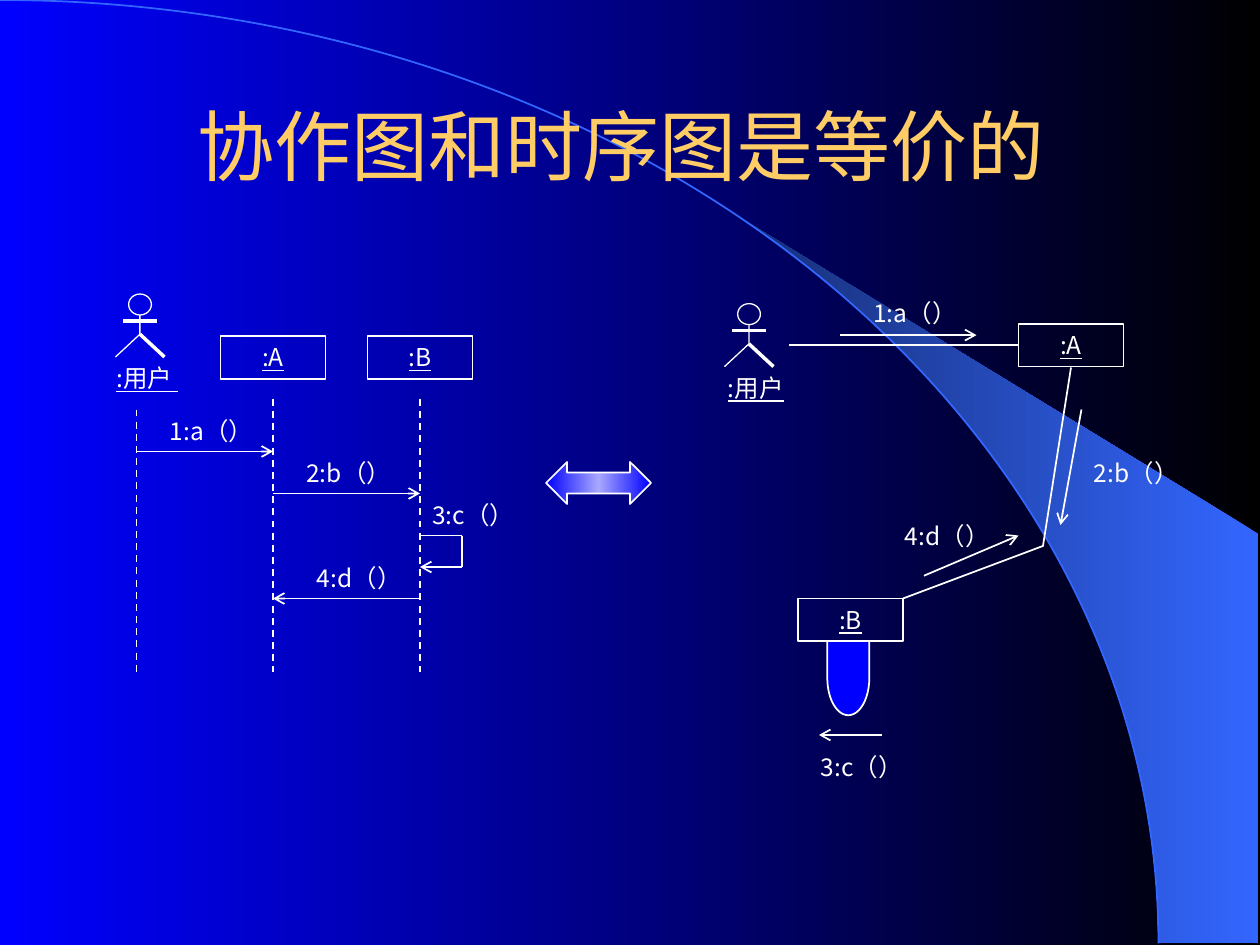
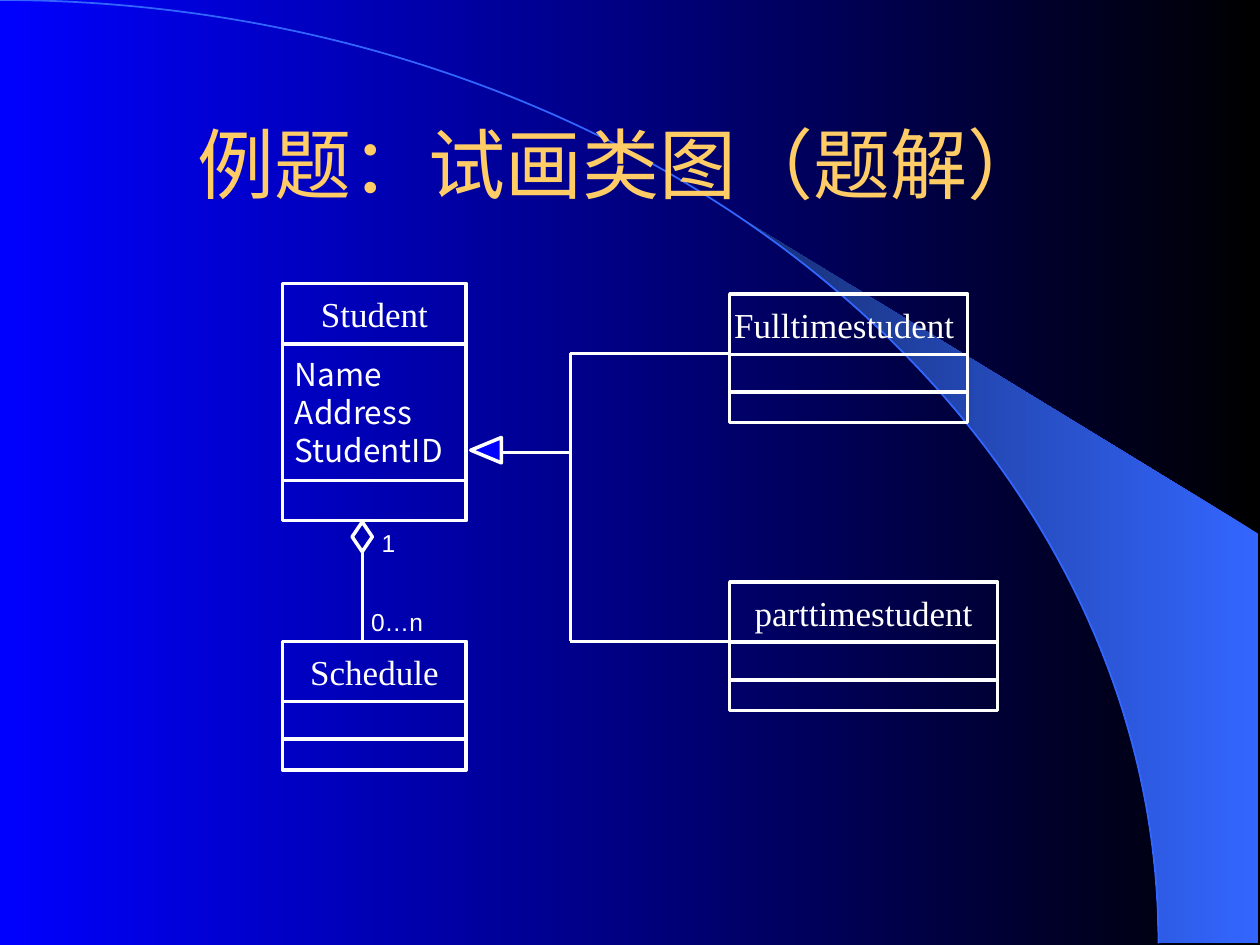
from copy import deepcopy
from dataclasses import dataclass
from math import acos, cos, sin

from lxml.etree import SubElement
from pptx import Presentation
from pptx.dml.color import RGBColor
from pptx.enum.dml import MSO_LINE
from pptx.enum.shapes import MSO_CONNECTOR, MSO_SHAPE
from pptx.enum.text import MSO_ANCHOR, MSO_AUTO_SIZE, PP_ALIGN
from pptx.oxml.ns import qn
from pptx.util import Pt


@dataclass(frozen=True)
class Theme:
    # Colours
    white: str = "FFFFFF"
    gold: str = "FFCC66"
    blue: str = "0000FF"
    black: str = "000000"
    pale: str = "A8A8FE"
    swoosh: str = "3366FF"
    swoosh_dark: str = "172F75"
    # Fonts and type sizes
    sans: str = "Noto Sans CJK SC"
    serif: str = "Times New Roman"
    plain: str = "Arial"
    title: int = 44
    class_name: int = 20
    attribute: int = 18
    label: int = 14
    # Line widths
    hair: float = 0
    thin: float = 1
    medium: float = 1.5
    thick: float = 2


THEME = Theme()
BOX_H = 24.5


def rgb(value):
    return RGBColor.from_string(value)


def gradient(fill, holder, *colors):
    """Fill with evenly spaced colours running from right to left."""
    fill.gradient()
    fill.gradient_angle = 180
    stops = next(holder.iter(qn("a:gsLst")))
    for _ in colors[2:]:
        stops.insert(1, deepcopy(stops[0]))
    for i, (stop, color) in enumerate(zip(fill.gradient_stops, colors)):
        stop.color.rgb = rgb(color)
        stop.position = i / (len(colors) - 1)


class Deck:
    def __init__(self, theme):
        self.theme = theme
        self.prs = Presentation()
        self.prs.slide_width, self.prs.slide_height = Pt(720), Pt(540)
        self.s = None

    def slide(self, title, height):
        self.s = self.prs.slides.add_slide(self.prs.slide_layouts[5])
        sp = self.s.shapes.title
        sp.left, sp.top, sp.width, sp.height = Pt(54), Pt(48), Pt(612), Pt(height)
        self.put_text(sp, title, self.theme.title, color=self.theme.gold,
                      align=PP_ALIGN.CENTER, anchor=MSO_ANCHOR.MIDDLE)

    def decorate_master(self):
        """Give every slide the gradient background, the swoosh and the arc."""
        t, master = self.theme, self.prs.slide_master
        gradient(master.background.fill, master.element, t.black, t.blue)
        rx, ry, right, steps = 662, 539, 719, 24
        start = acos(0.64)
        angles = [start * (1 - i / steps) for i in range(steps + 1)]
        edge = [(rx * cos(a), ry - ry * sin(a)) for a in angles]
        wedge = self.polyline([(right, ry), (right, 305), *edge], None, close=True)
        gradient(wedge.fill, wedge.element, t.swoosh, t.swoosh_dark)
        arc = self.shape(MSO_SHAPE.ARC, -rx, 0, 2 * rx, 2 * ry, t.thin,
                         line=t.swoosh)
        for i, sp in enumerate((wedge, arc)):
            master.shapes.element.insert(2 + i, sp.element)

    def put_text(self, sp, text, size, font=None, color=None, align=PP_ALIGN.LEFT,
                 anchor=MSO_ANCHOR.TOP, wrap=True, underline=None):
        tf = sp.text_frame
        tf.text = text
        tf.word_wrap, tf.auto_size = wrap, MSO_AUTO_SIZE.NONE
        tf.vertical_anchor = anchor
        font = font or self.theme.sans
        for p in tf.paragraphs:
            p.alignment = align
            p.space_before = Pt(0)
            for r in p.runs:
                r.font.size, r.font.name = Pt(size), font
                r.font.underline = underline
                r.font.color.rgb = rgb(color or self.theme.white)
        for props in sp.element.iter(qn("a:rPr")):
            SubElement(props, qn("a:ea"), typeface=font)

    def outline(self, sp, width, fill=None, line=None):
        sp.shadow.inherit = False
        if fill:
            sp.fill.solid()
            sp.fill.fore_color.rgb = rgb(fill)
        else:
            sp.fill.background()
        if width is None:
            sp.line.fill.background()
        else:
            sp.line.color.rgb = rgb(line or self.theme.white)
            sp.line.width = Pt(width)
        return sp

    def shape(self, kind, x, y, w, h, width, fill=None, line=None, turn=0):
        sp = self.s.shapes.add_shape(kind, Pt(x), Pt(y), Pt(w), Pt(h))
        sp.rotation = turn
        return self.outline(sp, width, fill, line)

    def polyline(self, points, width, close=False):
        start, *rest = [(Pt(x), Pt(y)) for x, y in points]
        outline = self.s.shapes.build_freeform(*start)
        outline.add_line_segments(rest, close=close)
        return self.outline(outline.convert_to_shape(), width)

    def line(self, x1, y1, x2, y2, width=THEME.thin, arrow=False, dash=False):
        c = self.s.shapes.add_connector(MSO_CONNECTOR.STRAIGHT,
                                        Pt(x1), Pt(y1), Pt(x2), Pt(y2))
        c.line.color.rgb = rgb(self.theme.white)
        c.line.width = Pt(width)
        if dash:
            c.line.dash_style = MSO_LINE.DASH
        if arrow:
            SubElement(next(c.element.iter(qn("a:ln"))), qn("a:tailEnd"), type="arrow")
        SubElement(c.element.spPr, qn("a:effectLst"))
        return c

    def label(self, text, x, y, w, **style):
        sp = self.s.shapes.add_textbox(Pt(x), Pt(y), Pt(w), Pt(BOX_H))
        self.put_text(sp, text, self.theme.label, **style)

    def object_box(self, text, x, y):
        sp = self.shape(MSO_SHAPE.RECTANGLE, x, y, 60, BOX_H, self.theme.thin)
        self.put_text(sp, text, self.theme.label, align=PP_ALIGN.CENTER,
                      underline=True)
        return sp

    def actor(self, text, x, y):
        """Stick figure centred on x with its head starting at y."""
        hair = self.theme.hair
        self.shape(MSO_SHAPE.OVAL, x - 6.5, y, 13, 12, hair)
        self.line(x - 9.5, y + 15.5, x + 9.5, y + 15.5, hair)
        self.polyline([(x, y + 12), (x, y + 23), (x - 14, y + 36)], hair)
        self.line(x, y + 23, x + 14, y + 36, hair)
        self.label(text, x - 32, y + 36, 72, align=PP_ALIGN.CENTER, underline=True)

    def class_box(self, name, x, y, w, heights=(34.5, 21.5, 17.5), attributes=None):
        t = self.theme
        parts = []
        for h in heights:
            parts.append(self.shape(MSO_SHAPE.RECTANGLE, x, y, w, h, t.thick))
            y += h
        style = dict(anchor=MSO_ANCHOR.MIDDLE, wrap=False)
        self.put_text(parts[0], name, t.class_name, font=t.serif,
                      align=PP_ALIGN.CENTER, **style)
        if attributes:
            self.put_text(parts[1], attributes, t.attribute, **style)


def sequence_and_collaboration(deck):
    t = deck.theme

    # Sequence diagram: participants and lifelines
    user_x, a_x, b_x = 78, 156, 240
    deck.actor(":用户 ", 80, 168)
    for name, x in ((":A", a_x), (":B", b_x)):
        deck.object_box(name, x - 30, 192)
    for x, top in ((user_x, 234), (a_x, 228), (b_x, 228)):
        deck.line(x, top, x, 384, dash=True)

    # Sequence diagram: messages
    for x1, x2, y in ((user_x, a_x, 258), (a_x, b_x, 282), (b_x, a_x, 342)):
        deck.line(x1, y, x2, y, arrow=True)
    loop_x = b_x + 24
    deck.line(b_x, 306, loop_x, 306)
    deck.line(loop_x, 306, loop_x, 324)
    deck.line(loop_x, 324, b_x, 324, arrow=True)

    # Equivalence arrow
    sp = deck.shape(MSO_SHAPE.LEFT_RIGHT_ARROW, 312, 264, 60, 24, t.thin)
    gradient(sp.fill, sp.element, t.blue, t.pale, t.blue)

    # Collaboration diagram: objects and links
    deck.actor(":用户", 428, 173.5)
    object_a = deck.object_box(":A", 582, 185)
    link = deck.line(451, 185 + BOX_H / 2, 582, 185 + BOX_H / 2)
    link.end_connect(object_a, 1)
    deck.polyline([(612, 210), (596, 312), (516, 342)], t.thin)
    deck.shape(MSO_SHAPE.FLOWCHART_DELAY, 463.5, 375.5, 42.5, 24, t.thin,
               fill=t.blue, turn=90)
    deck.object_box(":B", 456, 342)

    # Collaboration diagram: messages
    for ends in ((480, 191.5, 558, 191.5), (618, 234, 606, 300),
                 (504, 420, 468, 420), (528, 329, 582, 306)):
        deck.line(*ends, arrow=True)

    # Message names of both diagrams
    for text, x, y, w in (
            ("1:a（）", 90, 234, 66), ("2:b（）", 168, 258, 67),
            ("3:c（）", 240, 282, 75), ("4:d（）", 174, 318, 73),
            ("1:a（）", 492, 167, 66), ("2:b（）", 618, 258, 65.5),
            ("3:c（）", 462, 426, 68), ("4:d（）", 510, 294, 77)):
        deck.label(text, x, y, w)


def class_diagram(deck):
    t = deck.theme

    # Classes
    deck.class_box("Student", 161.5, 162, 105, (34.5, 78, 23),
                   "Name\nAddress\nStudentID")
    deck.class_box("Schedule", 161.5, 366.5, 105)
    deck.class_box("parttimestudent", 417, 332.5, 153)
    deck.class_box("Fulltimestudent ", 417, 168, 136)

    # Aggregation
    deck.shape(MSO_SHAPE.DIAMOND, 198.5, 301, 17, 11.5, t.thick, turn=270)
    deck.line(207, 315.5, 207, 366.5, t.medium)
    for text, x, y, w in (("1", 211, 298, 22), ("0…n", 205, 343.5, 44)):
        deck.label(text, x, y, w, font=t.plain, wrap=False)

    # Generalization
    deck.shape(MSO_SHAPE.ISOSCELES_TRIANGLE, 270.5, 248.5, 14.5, 17.5, t.thick,
               fill=t.blue, turn=270)
    trunk_x, top, bottom = 326, 202, 366.5
    deck.line(286.5, 258.5, trunk_x, 258.5, t.medium)
    deck.line(trunk_x, top, trunk_x, bottom, t.medium)
    for y in (top, bottom):
        deck.line(trunk_x, y, 417, y, t.medium)


def main():
    deck = Deck(THEME)
    deck.slide("协作图和时序图是等价的 ", 69)
    deck.decorate_master()
    sequence_and_collaboration(deck)
    deck.slide("例题：试画类图（题解） ", 90)
    class_diagram(deck)
    deck.prs.save("out.pptx")


if __name__ == "__main__":
    main()
